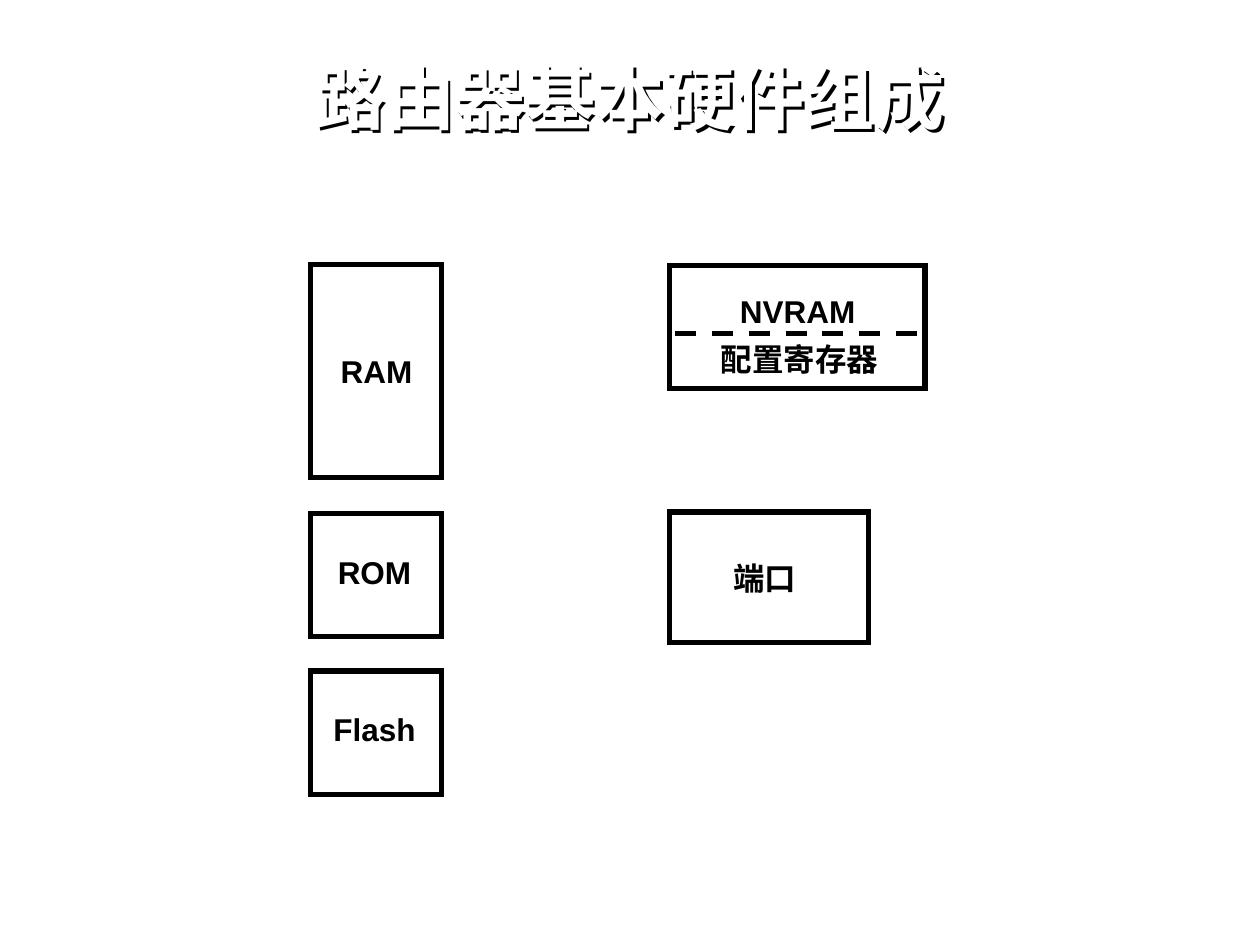
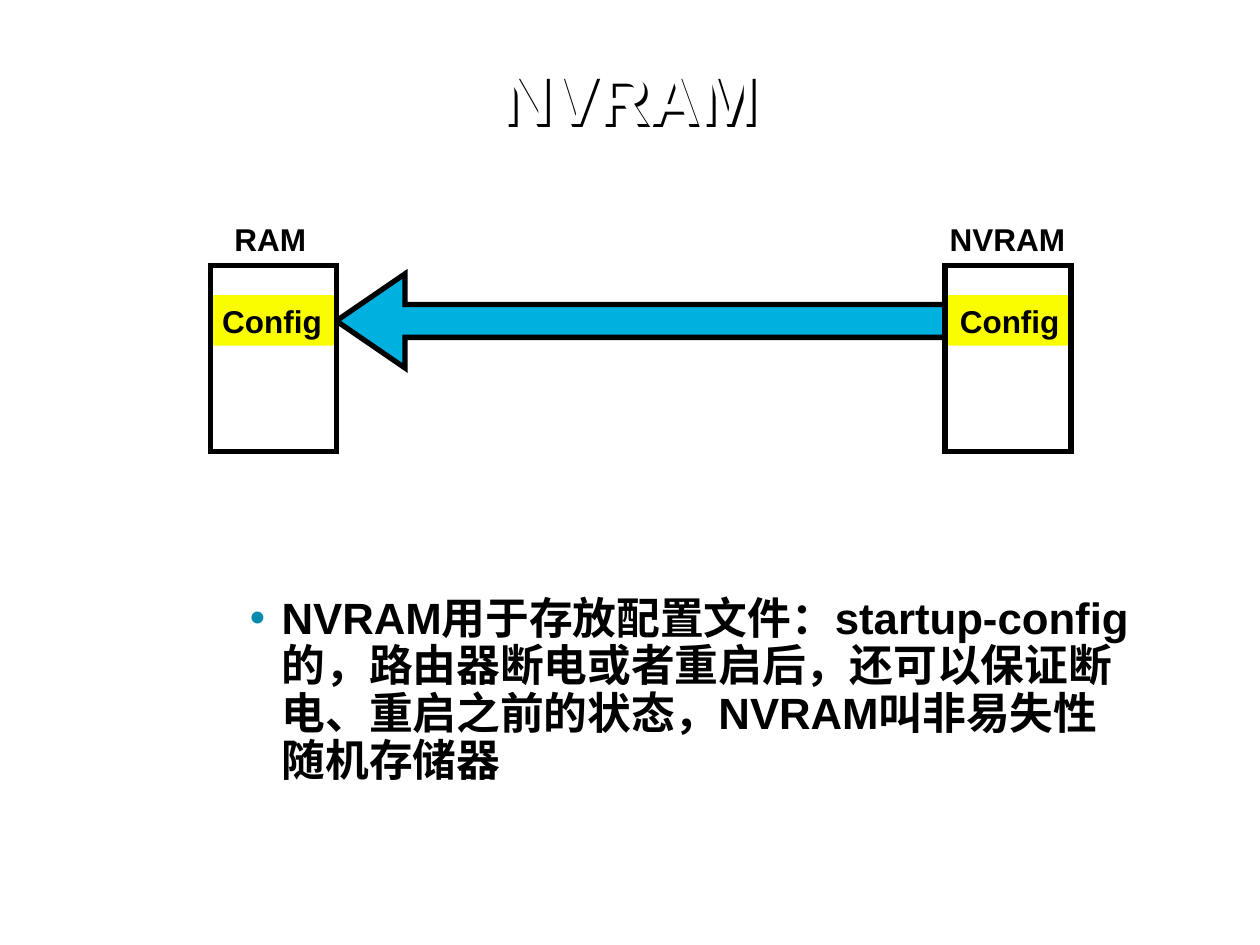
"""Build two slides on router hardware and NVRAM."""
import pptx
import pptx.util
import pptx.dml.color
import pptx.enum.dml
import pptx.enum.shapes
import pptx.enum.text
import pptx.oxml
import pptx.oxml.ns

Cm = pptx.util.Cm
Pt = pptx.util.Pt
RGBColor = pptx.dml.color.RGBColor
Kind = pptx.enum.shapes.MSO_SHAPE
Align = pptx.enum.text.PP_ALIGN
Anchor = pptx.enum.text.MSO_ANCHOR

BLACK = RGBColor(0x00, 0x00, 0x00)
WHITE = RGBColor(0xFF, 0xFF, 0xFF)
YELLOW = RGBColor(0xFA, 0xFD, 0x00)
CYAN = RGBColor(0x00, 0xB0, 0xDF)
TEAL = RGBColor(0x00, 0x8A, 0xAE)

FONT = "Arial"
SPACE = pptx.oxml.ns.nsdecls("a")
SHADE = (f'<a:effectLst {SPACE}><a:outerShdw dist="25400" dir="2700000">'
         f'<a:srgbClr val="{BLACK}"/></a:outerShdw></a:effectLst>')


def text(slide, words, left, top, wide, high, size=18, color=BLACK, fill=None,
         align=Align.CENTER, anchor=Anchor.MIDDLE, wrap=False, pitch=None,
         bullet=None, shade=False):
    """Place a text box with bold words."""
    box = slide.shapes.add_textbox(Cm(left), Cm(top), Cm(wide), Cm(high))
    if fill is not None:
        box.fill.solid()
        box.fill.fore_color.rgb = fill
    if shade:
        box._element.spPr.append(pptx.oxml.parse_xml(SHADE))
    frame = box.text_frame
    frame.word_wrap = wrap
    frame.vertical_anchor = anchor
    para = frame.paragraphs[0]
    para.alignment = align
    if pitch:
        para.line_spacing = pitch
    if bullet is not None:
        props = para._p.get_or_add_pPr()
        props.set("marL", str(Cm(0.97)))
        props.set("indent", str(Cm(-0.64)))
        for part in (f'<a:buClr {SPACE}><a:srgbClr val="{bullet}"/></a:buClr>',
                     f'<a:buFont {SPACE} typeface="{FONT}"/>',
                     f'<a:buChar {SPACE} char="•"/>'):
            props.append(pptx.oxml.parse_xml(part))
    run = para.add_run()
    run.text = words
    run.font.size = Pt(size)
    run.font.bold = True
    run.font.color.rgb = color
    run.font.name = FONT


def block(slide, kind, left, top, wide, high, fill=None):
    """Place a shape with a heavy black outline."""
    shape = slide.shapes.add_shape(kind, Cm(left), Cm(top), Cm(wide), Cm(high))
    shape.shadow.inherit = False
    if fill is None:
        shape.fill.background()
    else:
        shape.fill.solid()
        shape.fill.fore_color.rgb = fill
    shape.line.color.rgb = BLACK
    shape.line.width = Pt(3)
    shape.line._get_or_add_ln().append(
        pptx.oxml.parse_xml(f'<a:miter {SPACE} lim="800000"/>'))
    return shape


deck = pptx.Presentation()
deck.slide_width = Cm(25.4)
deck.slide_height = Cm(19.05)
pages = []
for title in ("路由器基本硬件组成", "NVRAM"):
    page = deck.slides.add_slide(deck.slide_layouts[6])
    page.background.fill.solid()
    page.background.fill.fore_color.rgb = WHITE
    text(page, title, 0, 0, 25.4, 4.11, size=40, color=WHITE, wrap=True,
         pitch=0.9, shade=True)
    pages.append(page)
parts, flow = pages

for left, top, wide, high in (
        (6.26, 5.34, 2.64, 4.29), (6.26, 10.35, 2.64, 2.49),
        (6.26, 13.53, 2.64, 2.49), (13.49, 5.35, 5.16, 2.49),
        (13.49, 10.32, 4.02, 2.64)):
    block(parts, Kind.RECTANGLE, left, top, wide, high)

for words, mid, top in (
        ("RAM", 7.59, 6.96), ("ROM", 7.55, 11.02), ("Flash", 7.55, 14.19),
        ("NVRAM", 16.08, 5.76), ("配置寄存器", 16.12, 6.73),
        ("端口", 15.42, 11.15)):
    text(parts, words, mid - 1.85, top, 3.7, 1.02)

rule = parts.shapes.add_connector(
    pptx.enum.shapes.MSO_CONNECTOR.STRAIGHT,
    Cm(13.61), Cm(6.73), Cm(18.72), Cm(6.73))
rule.line.color.rgb = BLACK
rule.line.width = Pt(3)
rule.line.dash_style = pptx.enum.dml.MSO_LINE.DASH
rule._element.spPr.append(pptx.oxml.parse_xml(f"<a:effectLst {SPACE}/>"))

arrow = block(flow, Kind.LEFT_ARROW, 6.78, 5.52, 12.27, 1.9, fill=CYAN)
arrow.adjustments[0] = 0.35
arrow.adjustments[1] = 0.73

for words, left, mid, inner in (("RAM", 4.24, 5.45, 4.23),
                                ("NVRAM", 19.05, 20.31, 19.1)):
    text(flow, "Config", inner, 5.95, 2.51, 1.02, fill=YELLOW)
    block(flow, Kind.RECTANGLE, left, 5.35, 2.54, 3.76)
    text(flow, words, mid - 1.85, 4.31, 3.7, 1.02)

text(flow, "NVRAM用于存放配置文件：startup-config的，路由器断电或者重启后，"
     "还可以保证断电、重启之前的状态，NVRAM叫非易失性随机存储器",
     4.46, 11.91, 18.59, 3.99, size=25, align=Align.LEFT, anchor=Anchor.TOP,
     wrap=True, pitch=0.9, bullet=TEAL)

deck.save("out.pptx")
